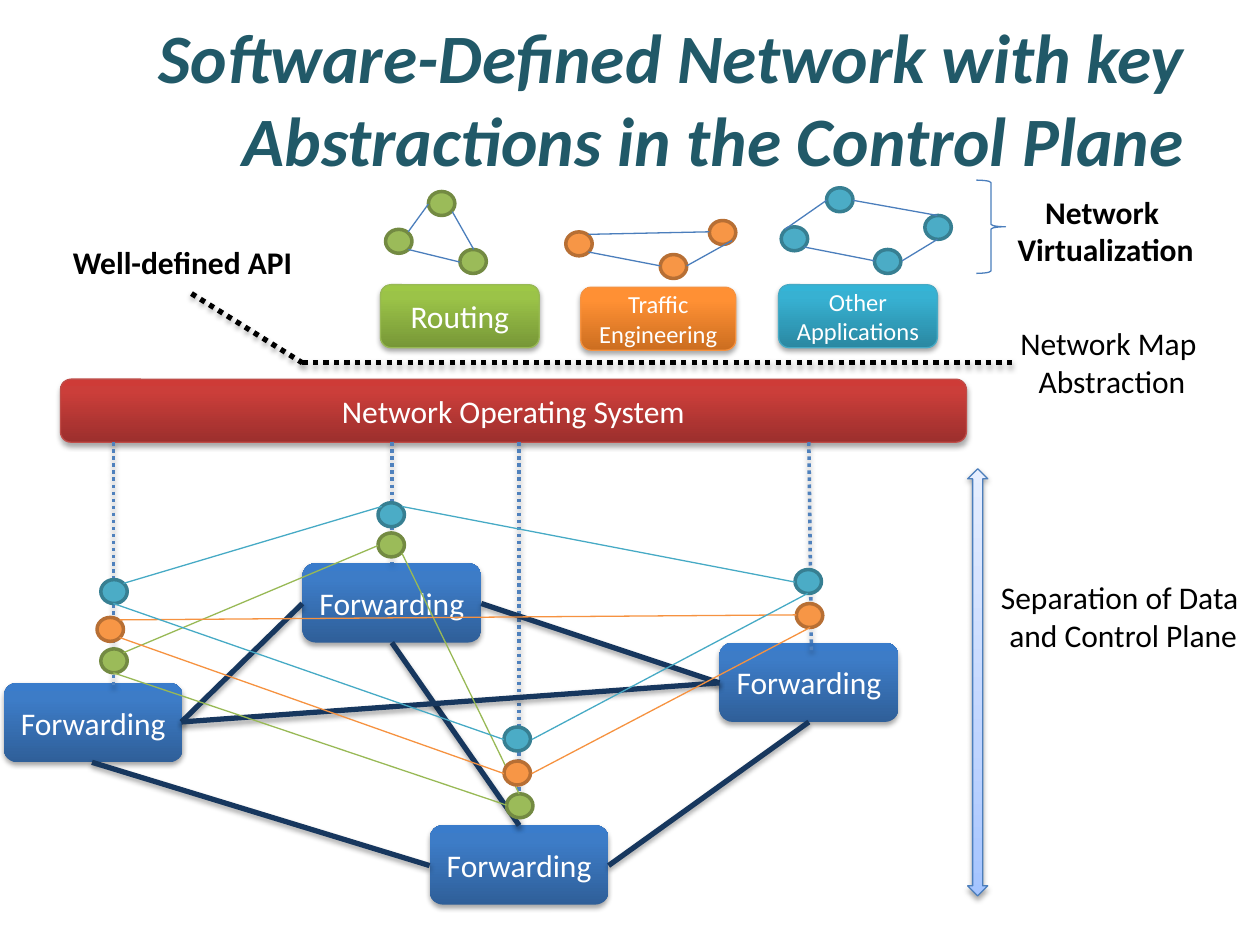
from copy import deepcopy
from dataclasses import dataclass
from typing import Optional

from lxml import etree
from pptx import Presentation
from pptx import util as u
from pptx.dml.color import RGBColor
from pptx.enum import dml, shapes, text
from pptx.oxml.ns import qn

Point = tuple[float, float]
Link = tuple[Point, Point]
Stops = list[tuple[float, RGBColor]]

FONT = "Calibri"
BLACK = RGBColor(0x00, 0x00, 0x00)
WHITE = RGBColor(0xFF, 0xFF, 0xFF)
TITLE_TEAL = RGBColor(0x21, 0x59, 0x68)
NAVY = RGBColor(0x17, 0x37, 0x5E)
CONTROL_BLUE = RGBColor(0x4F, 0x81, 0xBD)
THIN_BLUE = RGBColor(0x4B, 0x7E, 0xBC)
NODE_SIZE = (0.21, 0.19)
FORWARDING_SIZE = (1.42, 0.63)


@dataclass
class Palette:
    node: RGBColor
    node_border: RGBColor
    edge: RGBColor
    stops: Stops


@dataclass
class Block:
    label: str
    left: float
    top: float
    width: float
    height: float
    stops: Stops
    border: Optional[RGBColor] = None
    size: float = 18


@dataclass
class Topology:
    palette: Palette
    edge: RGBColor
    nodes: list[Point]
    links: list[Link]


@dataclass
class Label:
    words: str
    left: float
    top: float
    width: float
    height: float
    bold: bool = False
    align: text.PP_ALIGN = text.PP_ALIGN.CENTER


def ramp(*stops: tuple[float, str]) -> Stops:
    return [(position, RGBColor.from_string(color)) for position, color in stops]


def palette(node: str, border: str, edge: str, low: str, middle: str, high: str) -> Palette:
    return Palette(*map(RGBColor.from_string, (node, border, edge)),
                   ramp((0, low), (0.8, middle), (1, high)))


GREEN = palette("9BBB59", "738A42", "98B955", "779737", "9BC348", "9DC746")
ORANGE = palette("F79646", "B76F34", "F69240", "CC6E20", "FF9034", "FF9136")
TEAL = palette("4BACC6", "377F92", "46AAC5", "2A88A2", "37B1D2", "34B4D6")
RED_STOPS = ramp((0, "9C2F2D"), (0.8, "CB3E3A"), (1, "CE3B37"))
BLUE_STOPS = ramp((0, "2F5F99"), (0.8, "3D7CC7"), (1, "3A7CCB"))
ARROW_STOPS = ramp((0, "A4C4FF"), (0.35, "BFD4FF"), (1, "E6EEFF"))

BLOCKS = [
    Block("Network Operating System", 0.48, 3.01, 7.19, 0.5, RED_STOPS, RGBColor(0xBF, 0x4C, 0x48)),
    Block("Routing", 3.02, 2.26, 1.26, 0.5, GREEN.stops, GREEN.edge),
    Block("Traffic Engineering", 4.61, 2.28, 1.23, 0.5, ORANGE.stops, ORANGE.edge, 14),
    Block("Other Applications", 6.18, 2.26, 1.26, 0.5, TEAL.stops, TEAL.edge, 14),
] + [Block("Forwarding", left, top, *FORWARDING_SIZE, BLUE_STOPS)
     for left, top in [(0.03, 5.42), (2.4, 4.47), (3.41, 6.55), (5.71, 5.1)]]

API_LINKS = [((1.52, 2.33), (2.4, 2.88)), ((2.4, 2.88), (8.07, 2.88))]
CONTROL_LINKS = [((0.9, 3.51), (0.9, 5.46)), ((3.11, 3.51), (3.11, 4.47)),
                 ((4.12, 3.51), (4.12, 6.55)), ((6.42, 3.51), (6.44, 5.18))]
DATA_LINKS = [((0.73, 6.05), (3.41, 6.87)), ((4.83, 6.87), (6.42, 5.73)),
              ((3.82, 4.79), (5.71, 5.42)), ((1.44, 5.73), (2.4, 4.79)),
              ((4.12, 6.55), (3.11, 5.1)), ((1.44, 5.73), (5.71, 5.42))]

TOPOLOGIES = [
    Topology(GREEN, THIN_BLUE, [(3.4, 1.52), (3.06, 1.82), (3.65, 1.98)],
             [((3.4, 1.62), (3.24, 1.84)), ((3.59, 1.68), (3.76, 1.98)), ((3.24, 1.98), (3.65, 2.08))]),
    Topology(ORANGE, THIN_BLUE, [(5.63, 1.75), (4.49, 1.84), (5.24, 2.02)],
             [((5.63, 1.84), (4.67, 1.86)), ((5.81, 1.91), (5.45, 2.11)), ((4.67, 2), (5.24, 2.11))]),
    Topology(TEAL, THIN_BLUE, [(7.34, 1.71), (6.2, 1.8), (6.94, 1.98), (6.56, 1.49)],
             [((7.44, 1.71), (6.77, 1.59)), ((7.44, 1.9), (7.16, 2.07)),
              ((6.38, 1.96), (6.94, 2.07)), ((6.23, 1.82), (6.56, 1.59))]),
    Topology(GREEN, GREEN.edge, [(3, 4.23), (0.8, 5.15), (4.02, 6.3)],
             [((3, 4.33), (0.98, 5.18)), ((4.02, 6.39), (0.9, 5.34)), ((4.12, 6.3), (3.19, 4.39))]),
    Topology(ORANGE, ORANGE.edge, [(6.32, 4.79), (0.77, 4.9), (4, 6.04)],
             [((4, 6.14), (0.95, 5.06)), ((6.32, 4.88), (0.95, 4.92)), ((6.43, 4.98), (4.22, 6.14))]),
    Topology(TEAL, TEAL.edge, [(3, 3.99), (0.8, 4.6), (6.31, 4.52), (4, 5.77)],
             [((3.03, 4.02), (0.98, 4.63)), ((4, 5.87), (0.9, 4.79)),
              ((6.41, 4.71), (4.22, 5.87)), ((6.31, 4.62), (3.19, 4.02))]),
]

LABELS = [
    Label("Well-defined API", 0.48, 1.88, 1.96, 0.4, True, text.PP_ALIGN.LEFT),
    Label("Network Map \nAbstraction", 7.99, 2.52, 1.67, 0.71),
    Label("Separation of Data \nand Control Plane", 7.83, 4.54, 2.17, 0.71),
    Label("Network \vVirtualization", 7.97, 1.48, 1.61, 0.71, True),
]


def lengths(*inches: float) -> list[u.Cm]:
    return [u.Cm(2.54 * value) for value in inches]


def add_shadow(shape) -> None:
    properties = shape._element.spPr
    effects = properties.find(qn("a:effectLst"))
    if effects is None:
        effects = etree.SubElement(properties, qn("a:effectLst"))
    shadow = etree.SubElement(effects, qn("a:outerShdw"), blurRad=str(u.Pt(3.1)),
                              dist=str(u.Pt(1.8)), dir="5400000", rotWithShape="0")
    color = etree.SubElement(shadow, qn("a:srgbClr"), val="000000")
    etree.SubElement(color, qn("a:alpha"), val="35000")


def fill_gradient(shape, stops: Stops) -> None:
    shape.fill.gradient()
    shape.fill.gradient_angle = 90
    stop_list = shape._element.spPr.find(".//" + qn("a:gsLst"))
    stop_list.append(deepcopy(stop_list[0]))
    for stop, (position, color) in zip(shape.fill.gradient_stops, stops):
        stop.position = position
        stop.color.rgb = color


def format_text(frame, size: float, color: RGBColor, align, bold=False, italic=False) -> None:
    for paragraph in frame.paragraphs:
        paragraph.alignment = align
        for run in paragraph.runs:
            font = run.font
            font.name, font.size, font.bold, font.italic = FONT, u.Pt(size), bold, italic
            font.color.rgb = color


def add_outline(slide, kind, bounds, border: Optional[RGBColor], width: float = 0.75):
    shape = slide.shapes.add_shape(kind, *lengths(*bounds))
    shape.shadow.inherit = False
    if border is None:
        shape.line.fill.background()
    else:
        shape.line.color.rgb = border
        shape.line.width = u.Pt(width)
    return shape


def add_block(slide, block: Block) -> None:
    shape = add_outline(slide, shapes.MSO_SHAPE.ROUNDED_RECTANGLE,
                        (block.left, block.top, block.width, block.height), block.border)
    fill_gradient(shape, block.stops)
    add_shadow(shape)
    frame = shape.text_frame
    frame.text = block.label
    frame.vertical_anchor = text.MSO_ANCHOR.MIDDLE
    format_text(frame, block.size, WHITE, text.PP_ALIGN.CENTER)


def add_link(slide, link: Link, color: RGBColor, width=0.75, dotted=False, shadow=False) -> None:
    start, end = link
    line = slide.shapes.add_connector(shapes.MSO_CONNECTOR.STRAIGHT, *lengths(*start, *end))
    line.line.color.rgb = color
    line.line.width = u.Pt(width)
    if dotted:
        line.line.dash_style = dml.MSO_LINE.ROUND_DOT
    if shadow:
        add_shadow(line)
    else:
        etree.SubElement(line._element.spPr, qn("a:effectLst"))


def add_topology(slide, topology: Topology) -> None:
    for node in topology.nodes:
        shape = add_outline(slide, shapes.MSO_SHAPE.OVAL, (*node, *NODE_SIZE),
                            topology.palette.node_border, 2)
        shape.fill.solid()
        shape.fill.fore_color.rgb = topology.palette.node
    for link in topology.links:
        add_link(slide, link, topology.edge)


def add_label(slide, label: Label) -> None:
    box = slide.shapes.add_textbox(*lengths(label.left, label.top, label.width, label.height))
    frame = box.text_frame
    frame.word_wrap = False
    frame.auto_size = text.MSO_AUTO_SIZE.SHAPE_TO_FIT_TEXT
    frame.text = label.words
    format_text(frame, 18, BLACK, label.align, label.bold)


def main() -> None:
    presentation = Presentation()
    presentation.slide_width, presentation.slide_height = lengths(10, 7.5)
    slide = presentation.slides.add_slide(presentation.slide_layouts[5])
    title = slide.shapes.title
    title.left, title.top, title.width, title.height = lengths(0.5, 0.3, 9, 0.95)
    title.text_frame.text = "Software-Defined Network with key Abstractions in the Control Plane"
    title.text_frame.auto_size = text.MSO_AUTO_SIZE.NONE
    title.text_frame.vertical_anchor = text.MSO_ANCHOR.MIDDLE
    format_text(title.text_frame, 39.6, TITLE_TEAL, text.PP_ALIGN.RIGHT, True, True)

    for block in BLOCKS:
        add_block(slide, block)
    for links, color, width, dotted in [(API_LINKS, BLACK, 3, True),
                                        (CONTROL_LINKS, CONTROL_BLUE, 2, True),
                                        (DATA_LINKS, NAVY, 3, False)]:
        for link in links:
            add_link(slide, link, color, width, dotted, shadow=True)
    arrow = add_outline(slide, shapes.MSO_SHAPE.UP_DOWN_ARROW, (7.68, 3.72, 0.16, 3.39), THIN_BLUE)
    fill_gradient(arrow, ARROW_STOPS)
    add_shadow(arrow)
    for topology in TOPOLOGIES:
        add_topology(slide, topology)
    brace = add_outline(slide, shapes.MSO_SHAPE.RIGHT_BRACE, (7.75, 1.43, 0.23, 0.74), THIN_BLUE)
    brace.fill.background()
    for label in LABELS:
        add_label(slide, label)
    presentation.save("out.pptx")


if __name__ == "__main__":
    main()
